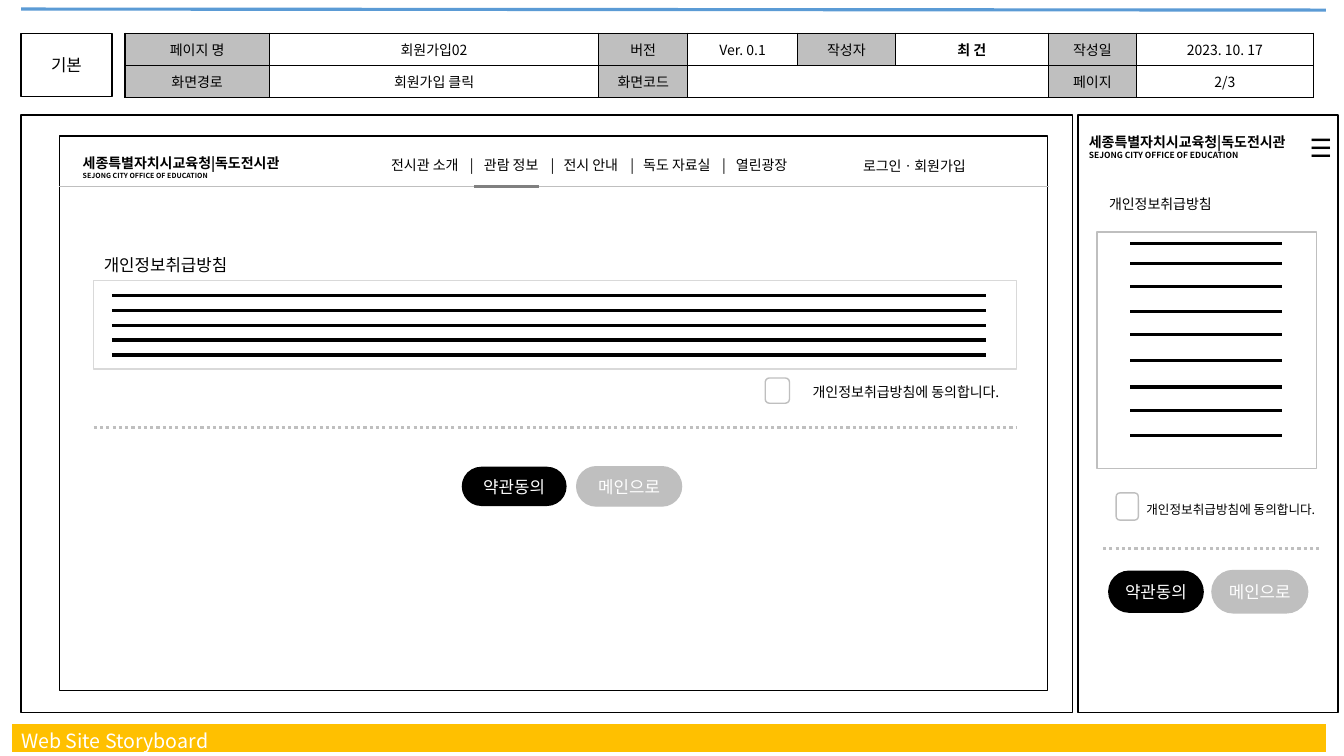
from lxml import etree
from pptx import Presentation
from pptx.dml.color import RGBColor
from pptx.enum.dml import MSO_LINE
from pptx.enum.shapes import MSO_CONNECTOR, MSO_SHAPE
from pptx.enum.text import MSO_ANCHOR, PP_ALIGN
from pptx.oxml.ns import qn
from pptx.util import Inches, Pt

RECT, ROUND = MSO_SHAPE.RECTANGLE, MSO_SHAPE.ROUNDED_RECTANGLE
LEFT, CENTER = PP_ALIGN.LEFT, PP_ALIGN.CENTER
MIDDLE, STRAIGHT = MSO_ANCHOR.MIDDLE, MSO_CONNECTOR.STRAIGHT
DOTTED = MSO_LINE.ROUND_DOT
FONT = "Noto Sans CJK KR"
BLACK, WHITE, GRAY = "000000", "FFFFFF", "BFBFBF"
PALE, DARK, BLUE, GOLD = "D9D9D9", "808080", "5B9BD5", "FFC000"
color = RGBColor.from_string

# The page is a grid of tenth-inch columns and rows
CELL = Inches(0.1)
deck = Presentation()
deck.slide_width, deck.slide_height = Inches(13.33), Inches(7.5)
page = deck.slides.add_slide(deck.slide_layouts[6])


def write_text(frame, lines, ink=BLACK, align=CENTER):
    """Fill a frame with (text, size, bold) lines, one paragraph each."""
    frame.word_wrap = True
    frame.vertical_anchor = MIDDLE
    frame.margin_left = frame.margin_right = 0
    frame.margin_top = frame.margin_bottom = 0
    for index, (text, size, bold) in enumerate(lines):
        para = frame.add_paragraph() if index else frame.paragraphs[0]
        para.alignment = align
        span = para.add_run()
        span.text = text
        span.font.size, span.font.bold = Pt(size), bold
        span.font.color.rgb = color(ink)
        span.font.name = FONT
        etree.SubElement(span.font._element, qn("a:ea"), typeface=FONT)


def add_box(kind, place, fill, line):
    box = page.shapes.add_shape(kind, *[int(part * CELL) for part in place])
    box.shadow.inherit = False
    if fill:
        box.fill.solid()
        box.fill.fore_color.rgb = color(fill)
    else:
        box.fill.background()
    if line:
        box.line.color.rgb = color(line)
        box.line.width = Pt(1)
    else:
        box.line.fill.background()
    return box


# Panels, agreement frames and check boxes
for kind, place, fill, line in [
    (RECT, (2.1, 11.4, 104.3, 59.3), WHITE, BLACK),
    (RECT, (5.9, 13.5, 98, 55), WHITE, BLACK),
    (RECT, (106.9, 11.4, 25.8, 59.3), WHITE, BLACK),
    (RECT, (9.3, 27.8, 91.5, 8.8), None, PALE),
    (RECT, (108.8, 23, 21.8, 23.5), None, GRAY),
    (ROUND, (75.9, 37.5, 2.4, 2.5), None, GRAY),
    (ROUND, (110.7, 48.9, 2.2, 2.7), None, GRAY),
]:
    add_box(kind, place, fill, line)

# Page category
category = add_box(RECT, (2.1, 3.3, 9, 6.3), WHITE, BLACK)
write_text(category.text_frame, [("기본", 12, False)])

# Document information table
edges = [12.4, 26.7, 59.4, 68.2, 79.1, 88.8, 104, 112.7, 130.3]
info_rows = [
    ["페이지 명", "회원가입02", "버전", "Ver. 0.1", "작성자", "최 건", "작성일", "2023. 10. 17"],
    ["화면경로", "회원가입 클릭", "화면코드", "", "", "", "페이지", "2/3"],
]
row_height = 3.2
info = page.shapes.add_table(
    2, 8, int(edges[0] * CELL), int(3.3 * CELL),
    int((edges[-1] - edges[0]) * CELL), int(2 * row_height * CELL)).table
info.first_row = info.horz_banding = False
for column, left, right in zip(info.columns, edges, edges[1:]):
    column.width = int((right - left) * CELL)
info.cell(1, 3).merge(info.cell(1, 5))
for row, texts in enumerate(info_rows):
    info.rows[row].height = int(row_height * CELL)
    for col, text in enumerate(texts):
        cell = info.cell(row, col)
        cell.margin_left = cell.margin_right = 0
        cell.margin_top = cell.margin_bottom = 0
        cell.vertical_anchor = MIDDLE
        is_label = col % 2 == 0 and not (row == 1 and col == 4)
        cell.fill.solid()
        cell.fill.fore_color.rgb = color(GRAY if is_label else WHITE)
        para = cell.text_frame.paragraphs[0]
        if text:
            write_text(cell.text_frame, [(text, 10, text == "최 건")])
        else:
            para.font.size = Pt(10)
        borders = cell._tc.get_or_add_tcPr()
        for order, side in enumerate("TB" if cell.is_spanned else "LRTB"):
            border = etree.Element(qn("a:ln" + side), w=str(Pt(1)))
            paint = etree.SubElement(border, qn("a:solidFill"))
            etree.SubElement(paint, qn("a:srgbClr"), val=BLACK)
            borders.insert(order, border)

# Rules: slide edges, menu underline, policy text, separators
rules = [
    (2.1, 0.9, 131.5, 1, BLUE, 2.25, None),
    (1.2, 73.2, 131.5, 73.2, GOLD, 20, None),
    (5.9, 18.5, 104, 18.5, GRAY, 0.5, None),
    (47, 18.5, 53.5, 18.5, DARK, 2.25, None),
    (9.3, 42.4, 100.9, 42.4, GRAY, 2.25, DOTTED),
    (109.4, 54.4, 131, 54.4, GRAY, 2.25, DOTTED),
]
for index in range(5):
    y = 29.3 + 1.48 * index
    rules.append((11.1, y, 97.8, y, BLACK, 2.25, None))
for y in (24.2, 26.1, 28.4, 30.9, 33.2, 35.8, 38.4, 40.7, 43.2):
    rules.append((112.1, y, 127.2, y, BLACK, 2.25, None))
for *ends, ink, width, dash in rules:
    rule = page.shapes.add_connector(STRAIGHT, *[int(end * CELL) for end in ends])
    rule.line.color.rgb = color(ink)
    rule.line.width = Pt(width)
    if dash:
        rule.line.dash_style = dash
    etree.SubElement(rule._element.spPr, qn("a:effectLst"))

# Labels
name = ("세종특별자치시교육청|독도전시관", 10, True)
office = "SEJONG CITY OFFICE OF EDUCATION"
policy = "개인정보취급방침"
consent = "개인정보취급방침에 동의합니다."
menu = "\t|\t".join(["전시관 소개", "관람 정보", "전시 안내", "독도 자료실", "열린광장"])
menu_left = 38.8
for place, lines, ink in [
    ((2.1, 72, 30, 2.9), [("Web Site Storyboard", 14, False)], WHITE),
    ((8.2, 15.1, 23.2, 3), [name, (office, 5, True)], BLACK),
    ((108, 13, 23, 3.2), [name, (office, 6, True)], BLACK),
    ((menu_left, 15, 45, 2.8), [(menu, 10, False)], BLACK),
    ((85.6, 15.1, 12, 2.8), [("로그인ㆍ회원가입", 10, False)], BLACK),
    ((129.9, 13.1, 3.3, 3), [("☰", 18, False)], BLACK),
    ((10.3, 24.8, 15, 3), [(policy, 12, False)], BLACK),
    ((110, 18.8, 14, 2.8), [(policy, 10, False)], BLACK),
    ((80.6, 37.5, 21.5, 2.8), [(consent, 10, False)], BLACK),
    ((113.7, 49.1, 19.6, 2.8), [(consent, 9, False)], BLACK),
]:
    label = page.shapes.add_textbox(*[int(part * CELL) for part in place])
    write_text(label.text_frame, lines, ink, LEFT)
    if lines[0][0] == menu:
        # Centred stops hold the bars, left stops hold the menu items
        stops = etree.SubElement(
            label.text_frame.paragraphs[0]._p.get_or_add_pPr(), qn("a:tabLst"))
        for bar, item in [(46.8, 48), (54.8, 55.9), (62.7, 63.8), (71.8, 73)]:
            for stop, align in ((bar, "ctr"), (item, "l")):
                etree.SubElement(stops, qn("a:tab"),
                                 pos=str(int((stop - menu_left) * CELL)), algn=align)

# Buttons on the desktop and mobile screens
for left, top, width, height, step in [
    (45.8, 46.3, 10.4, 3.9, 11.4), (109.9, 56.6, 9.5, 4.2, 10.3),
]:
    for index, (caption, fill, line) in enumerate(
            [("약관동의", BLACK, None), ("메인으로", GRAY, GRAY)]):
        button = add_box(ROUND, (left + index * step, top, width, height), fill, line)
        button.adjustments[0] = 0.5
        write_text(button.text_frame, [(caption, 12, False)], WHITE)

deck.save("out.pptx")
